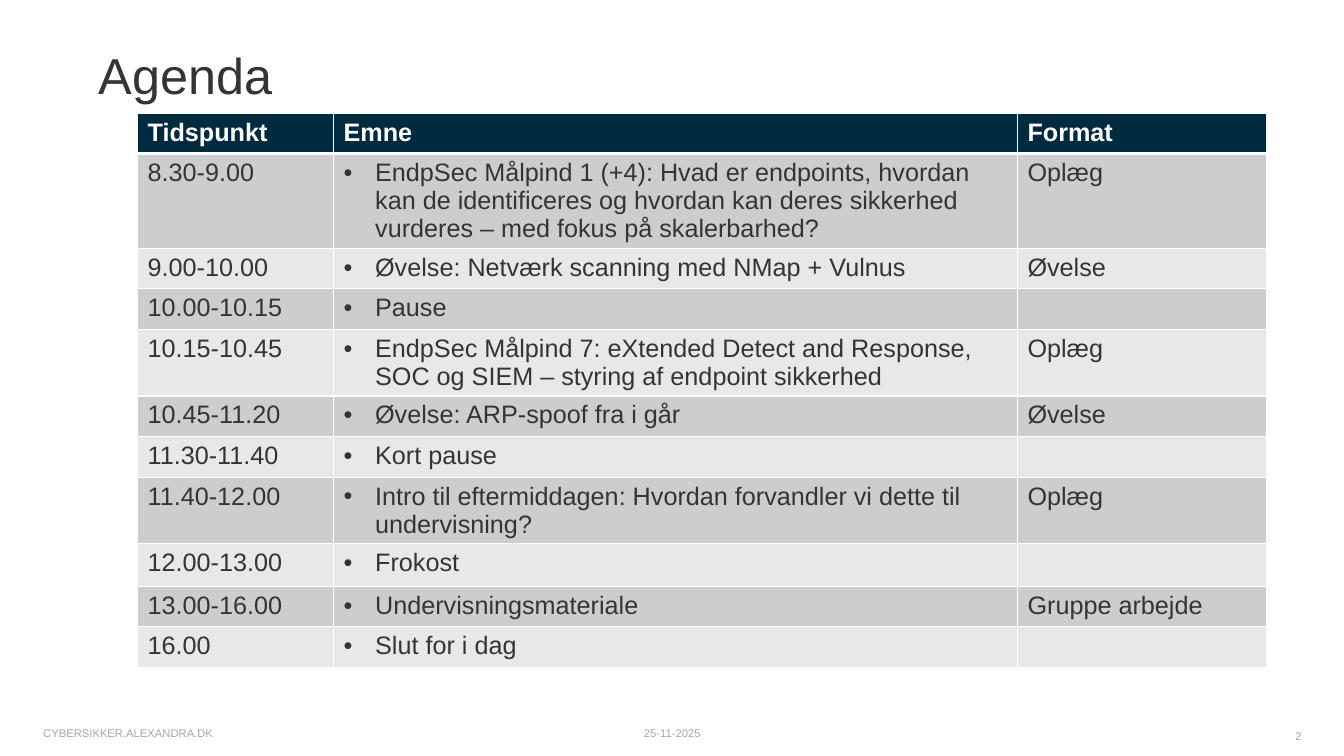
import pptx
import pptx.dml.color
import pptx.enum.text
import pptx.oxml
import pptx.oxml.ns
import pptx.util
from lxml import etree

Pt = pptx.util.Pt
ALIGN = pptx.enum.text.PP_ALIGN
ANCHOR = pptx.enum.text.MSO_ANCHOR
COLORS = {
    "text": "343434", "header": "002A3F", "white": "FFFFFF",
    "odd": "CCCDCF", "even": "E7E8E8", "footer": "A6A6A6",
}
AGENDA = [
    ("Tidspunkt", "Emne", "Format"),
    ("8.30-9.00", "EndpSec Målpind 1 (+4): Hvad er endpoints, hvordan kan de identificeres "
     "og hvordan kan deres sikkerhed vurderes – med fokus på skalerbarhed?", "Oplæg"),
    ("9.00-10.00", "Øvelse: Netværk scanning med NMap + Vulnus", "Øvelse"),
    ("10.00-10.15", "Pause", ""),
    ("10.15-10.45", "EndpSec Målpind 7: eXtended Detect and Response, SOC og SIEM – "
     "styring af endpoint sikkerhed", "Oplæg"),
    ("10.45-11.20", "Øvelse: ARP-spoof fra i går", "Øvelse"),
    ("11.30-11.40", "Kort pause", ""),
    ("11.40-12.00", "Intro til eftermiddagen: Hvordan forvandler vi dette til undervisning?",
     "Oplæg"),
    ("12.00-13.00", "Frokost", ""),
    ("13.00-16.00", "Undervisningsmateriale", "Gruppe arbejde"),
    ("16.00", "Slut for i dag", ""),
]


def rgb(name):
    return pptx.dml.color.RGBColor.from_string(COLORS[name])


def write(tf, text, size=18, color="text", bold=False, align=ALIGN.LEFT, bullet=False):
    p = tf.paragraphs[0]
    p.alignment = align
    if bullet:
        pPr = p._p.get_or_add_pPr()
        pPr.set("marL", str(Pt(22.5)))
        pPr.set("indent", str(-Pt(22.5)))
        ns = pptx.oxml.ns.qn
        etree.SubElement(pPr, ns("a:buFont")).set("typeface", "Arial")
        etree.SubElement(pPr, ns("a:buChar")).set("char", "•")
    if text:
        r = p.add_run()
        r.text = text
        r.font.name = "Arial"
        r.font.size = Pt(size)
        r.font.bold = bold
        r.font.color.rgb = rgb(color)


class Deck:
    """Hold the presentation style and the current slide."""

    def __init__(self, width, height):
        self.prs = pptx.Presentation()
        self.prs.slide_width, self.prs.slide_height = Pt(width), Pt(height)
        self.s = self.prs.slides.add_slide(self.prs.slide_layouts[5])

    def title(self, text, x, y, w, h):
        sp = self.s.shapes.title
        sp.left, sp.top, sp.width, sp.height = map(Pt, (x, y, w, h))
        tf = sp.text_frame
        tf.margin_left = tf.margin_top = tf.margin_right = tf.margin_bottom = 0
        tf.vertical_anchor = ANCHOR.BOTTOM
        tf.word_wrap = True
        write(tf, text, size=36)

    def footer(self, text, x, y, w, h, align):
        tf = self.s.shapes.add_textbox(*map(Pt, (x, y, w, h))).text_frame
        tf.word_wrap = True
        tf.vertical_anchor = ANCHOR.MIDDLE
        write(tf, text, size=8, color="footer", align=align)

    def border(self, cell, **widths):
        tcPr = cell._tc.get_or_add_tcPr()
        for side, width in widths.items():
            ln = etree.SubElement(tcPr, pptx.oxml.ns.qn(f"a:ln{side}"), w=str(Pt(width)))
            fill = etree.SubElement(ln, pptx.oxml.ns.qn("a:solidFill"))
            etree.SubElement(fill, pptx.oxml.ns.qn("a:srgbClr"), val=COLORS["white"])

    def table(self, rows, x, y, widths, heights):
        tbl = self.s.shapes.add_table(
            len(rows), len(widths), *map(Pt, (x, y, sum(widths), sum(heights)))).table
        for col, width in zip(tbl.columns, widths):
            col.width = Pt(width)
        for i, (row, height) in enumerate(zip(rows, heights)):
            tbl.rows[i].height = Pt(height)
            head = i == 0
            for j, text in enumerate(row):
                cell = tbl.cell(i, j)
                self.border(cell, L=1, R=1, T=3 if i == 1 else 1, B=3 if head else 1)
                cell.fill.solid()
                cell.fill.fore_color.rgb = rgb("header" if head else "odd" if i % 2 else "even")
                write(cell.text_frame, text, color="white" if head else "text",
                      bold=head, bullet=j == 1 and not head)


def main():
    deck = Deck(960, 540)
    deck.title("Agenda", 70.6, 31, 833, 44)
    heights = [30.4 if row[1] == "Frokost" else 28.8 for row in AGENDA]
    deck.table(AGENDA, 98.3, 80.8, [140, 488.5, 178], heights)
    deck.footer("25-11-2025", 366.5, 516.2, 227.5, 14.4, ALIGN.CENTER)
    deck.footer("CYBERSIKKER.ALEXANDRA.DK", 23.8, 516.2, 247, 14.4, ALIGN.LEFT)
    deck.footer("2", 783.4, 517, 153.4, 17.3, ALIGN.RIGHT)
    deck.prs.save("out.pptx")


if __name__ == "__main__":
    main()
